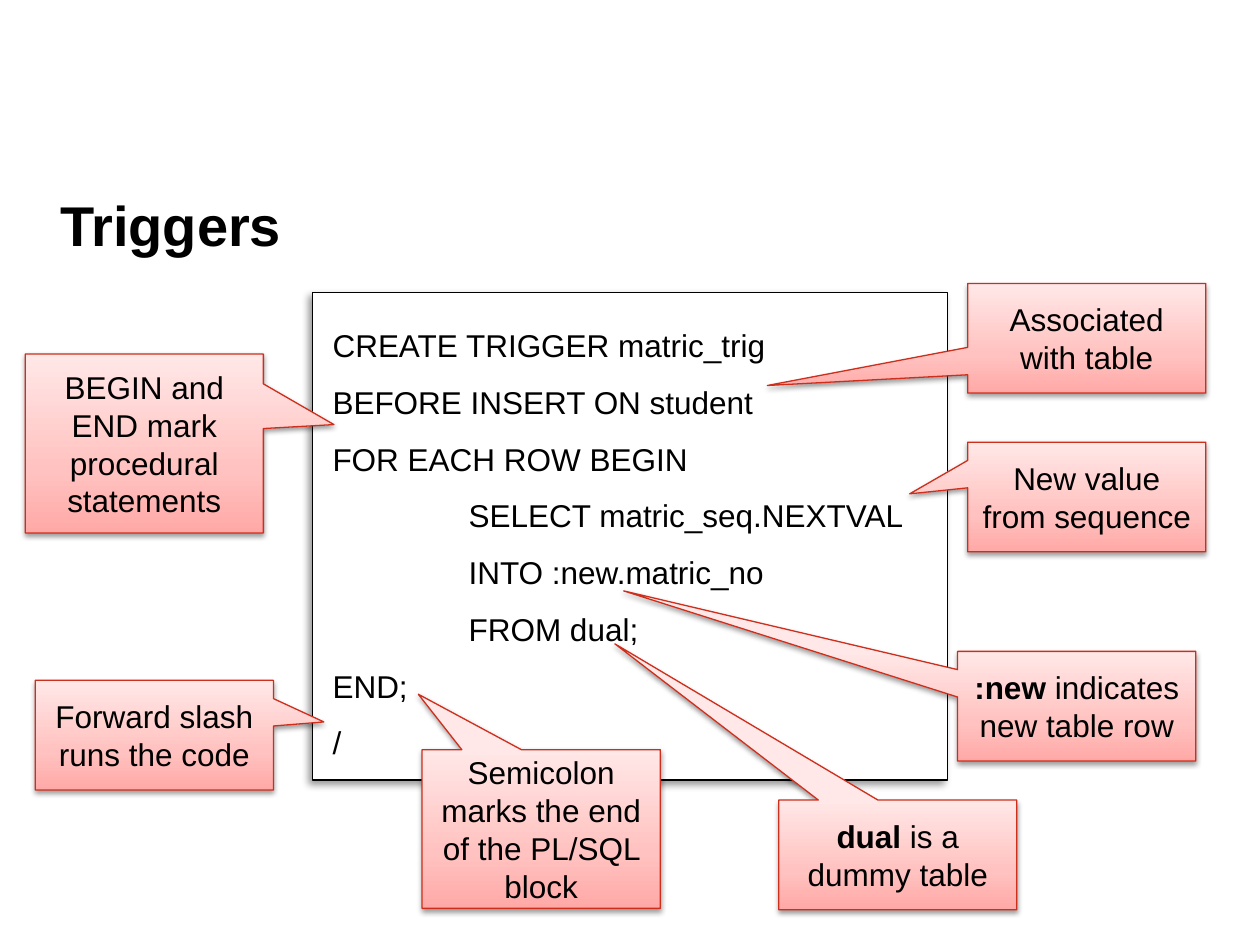
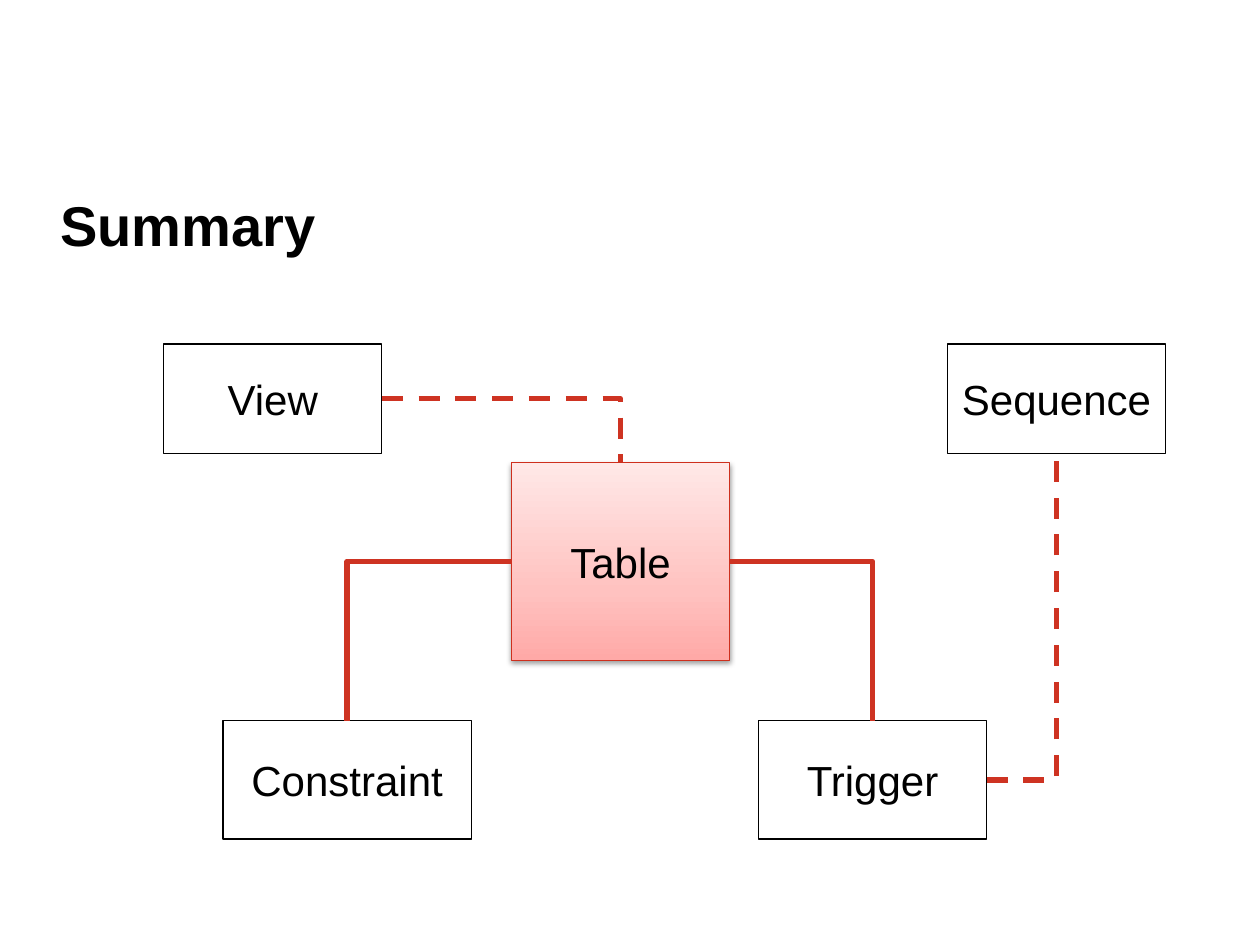
from lxml.etree import SubElement
from pptx import Presentation
from pptx.dml.color import RGBColor
from pptx.enum.dml import MSO_LINE
from pptx.enum.shapes import MSO_CONNECTOR, MSO_SHAPE
from pptx.enum.text import MSO_ANCHOR, MSO_AUTO_SIZE, PP_ALIGN
from pptx.oxml.ns import qn
from pptx.util import Emu, Inches, Pt

FONT = "Arial"
BLACK = RGBColor(0x00, 0x00, 0x00)
WHITE = RGBColor(0xFF, 0xFF, 0xFF)
RED = RGBColor(0xCE, 0x2F, 0x1D)
LINK_RED = RGBColor(0xCE, 0x33, 0x22)
PINK_STOPS = [
    (0, RGBColor(0xFF, 0xA9, 0xA7)),
    (35, RGBColor(0xFF, 0xC2, 0xC0)),
    (100, RGBColor(0xFF, 0xE8, 0xE7)),
]
TITLE_BOX = (0.38, 1.4, 9.24, 0.76)
TOP, LEFT, BOTTOM, RIGHT = range(4)  # connection sites of a rectangle


def style_paragraph(paragraph, size, bold=None, align=PP_ALIGN.LEFT):
    """Set the shared font and the alignment of one paragraph."""
    paragraph.alignment = align
    font = paragraph.font
    font.name, font.size, font.bold = FONT, Pt(size), bold
    font.color.rgb = BLACK


def add_title(slide, text):
    """Place the bold title in the shared title box."""
    title = slide.shapes.add_textbox(*map(Inches, TITLE_BOX))
    frame = title.text_frame
    frame.word_wrap = True
    frame.vertical_anchor = MSO_ANCHOR.MIDDLE
    frame.text = text
    style_paragraph(frame.paragraphs[0], 32, bold=True)


def add_shadow(shape, opacity, blur, distance, direction):
    """Give a shape an outer black shadow; lengths in points."""
    effects = shape._element.spPr.find(qn("a:effectLst"))
    shadow = SubElement(effects, qn("a:outerShdw"), blurRad=str(Pt(blur)),
                        dist=str(Pt(distance)), dir=str(direction * 60000),
                        rotWithShape="0")
    color = SubElement(shadow, qn("a:srgbClr"), val=str(BLACK))
    SubElement(color, qn("a:alpha"), val=str(opacity * 1000))


def add_panel(slide, box, preset=MSO_SHAPE.RECTANGLE):
    """Add a white, black-outlined shape without a shadow."""
    panel = slide.shapes.add_shape(preset, *map(Inches, box))
    panel.fill.solid()
    panel.fill.fore_color.rgb = WHITE
    panel.line.color.rgb = BLACK
    panel.line.width = Pt(0.75)
    panel.shadow.inherit = False
    panel.text_frame.word_wrap = True
    panel.text_frame.vertical_anchor = MSO_ANCHOR.MIDDLE
    return panel


def highlight(shape):
    """Turn a panel into a pink gradient shape with red line and shadow."""
    shape.fill.gradient()
    shape.fill.gradient_angle = 90
    stops = shape._element.spPr.find(qn("a:gradFill")).find(qn("a:gsLst"))
    stops.clear()
    for position, color in PINK_STOPS:
        stop = SubElement(stops, qn("a:gs"), pos=str(position * 1000))
        SubElement(stop, qn("a:srgbClr"), val=str(color))
    shape.line.color.rgb = RED
    add_shadow(shape, 38, 3.1, 1.6, 90)


def add_callout(slide, box, tip, text, bold_lead=""):
    """Add a callout in box whose pointer ends at the point tip."""
    callout = add_panel(slide, box, MSO_SHAPE.RECTANGULAR_CALLOUT)
    highlight(callout)
    left, top, width, height = box
    callout.adjustments[0] = (tip[0] - left) / width - 0.5
    callout.adjustments[1] = (tip[1] - top) / height - 0.5
    paragraph = callout.text_frame.paragraphs[0]
    style_paragraph(paragraph, 18, align=PP_ALIGN.CENTER)
    if bold_lead:
        lead = paragraph.add_run()
        lead.text = bold_lead
        lead.font.bold = True
    paragraph.add_run().text = text


def add_code(slide, box, blocks):
    """Place the code panel, one paragraph for each block of lines."""
    panel = add_panel(slide, box)
    add_shadow(panel, 40, 4, 3, 135)
    frame = panel.text_frame
    frame.vertical_anchor = MSO_ANCHOR.TOP
    frame.auto_size = MSO_AUTO_SIZE.SHAPE_TO_FIT_TEXT
    frame.margin_left = frame.margin_right = Inches(0.16)
    frame.margin_top = frame.margin_bottom = Inches(0.12)
    frame.text = "\n".join(blocks)
    for paragraph in frame.paragraphs:
        paragraph.line_spacing = 1.5
        tabs = SubElement(paragraph._p.get_or_add_pPr(), qn("a:tabLst"))
        for stop in (1.08, 3.24):
            SubElement(tabs, qn("a:tab"), pos=str(Inches(stop)), algn="l")
        style_paragraph(paragraph, 18)


def add_node(slide, box, text):
    """Add a diagram box with a centred label."""
    node = add_panel(slide, box)
    node.text_frame.text = text
    style_paragraph(node.text_frame.paragraphs[0], 24, align=PP_ALIGN.CENTER)
    return node


def add_link(slide, start, start_site, end, end_site, dashed=False):
    """Join two nodes by a line that runs across, then up or down."""
    link = slide.shapes.add_connector(MSO_CONNECTOR.ELBOW, *[Emu(0)] * 4)
    link.begin_connect(start, start_site)
    link.end_connect(end, end_site)
    properties = link._element.spPr
    properties.find(qn("a:prstGeom")).set("prst", "bentConnector2")
    link.line.color.rgb = LINK_RED
    link.line.width = Pt(3)
    if dashed:
        link.line.dash_style = MSO_LINE.DASH
    SubElement(properties, qn("a:effectLst"))


def build_triggers(slide):
    """Trigger code surrounded by explaining callouts."""
    add_title(slide, "Triggers")
    add_code(slide, (2.48, 2.32, 5.04, 3.87), [
        "CREATE TRIGGER matric_trig\vBEFORE INSERT ON student\v"
        "FOR EACH ROW BEGIN\v\tSELECT matric_seq.NEXTVAL",
        "\tINTO :new.matric_no",
        "\tFROM dual;\vEND;\v/",
    ])
    width, height = 1.89, 0.87
    for left, top, tall, tip, *words in [
        (7.68, 2.25, height, (6.09, 3.06), "Associated with table"),
        (0.2, 2.81, 1.42, (2.65, 3.37),
         "BEGIN and END mark procedural statements"),
        (7.68, 3.51, height, (7.22, 3.92), "New value from sequence"),
        (7.6, 5.17, height, (4.95, 4.69), " indicates new table row", ":new"),
        (3.35, 5.95, 1.26, (3.32, 5.51),
         "Semicolon marks the end of the PL/SQL block"),
        (0.28, 5.4, height, (2.57, 5.73), "Forward slash runs the code"),
        (6.18, 6.35, height, (4.88, 5.11), " is a dummy table", "dual"),
    ]:
        add_callout(slide, (left, top, width, tall), tip, *words)


def build_summary(slide):
    """Diagram of the database objects around a table."""
    add_title(slide, "Summary")
    table = add_node(slide, (4.06, 3.67, 1.73, 1.57), "Table")
    highlight(table)
    constraint = add_node(slide, (1.77, 5.72, 1.97, 0.94), "Constraint")
    view = add_node(slide, (1.3, 2.73, 1.73, 0.87), "View")
    sequence = add_node(slide, (7.52, 2.73, 1.73, 0.87), "Sequence")
    trigger = add_node(slide, (6.02, 5.72, 1.81, 0.94), "Trigger")
    add_link(slide, view, RIGHT, table, TOP, dashed=True)
    add_link(slide, table, LEFT, constraint, TOP)
    add_link(slide, table, RIGHT, trigger, TOP)
    add_link(slide, trigger, RIGHT, sequence, BOTTOM, dashed=True)


presentation = Presentation()
presentation.slide_width, presentation.slide_height = Inches(10), Inches(7.5)
blank = presentation.slide_layouts[6]
for build in (build_triggers, build_summary):
    build(presentation.slides.add_slide(blank))
presentation.save("out.pptx")
